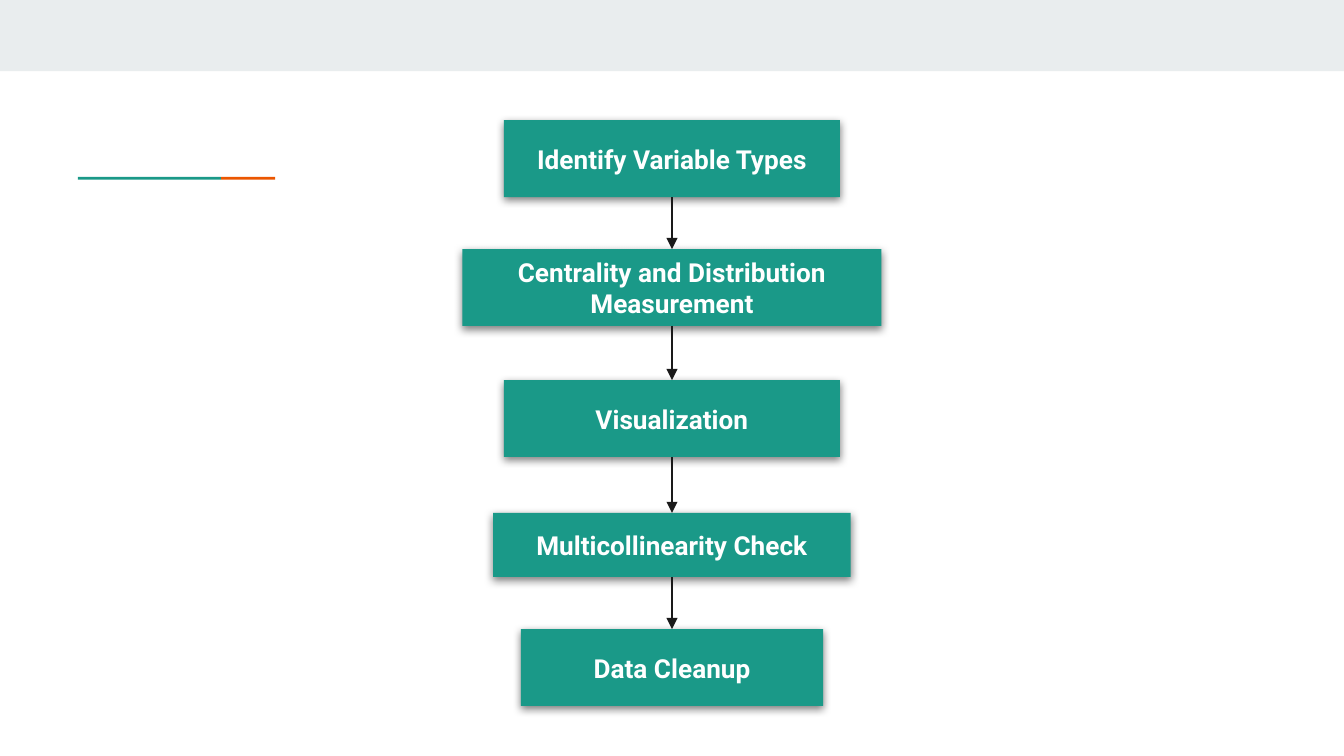
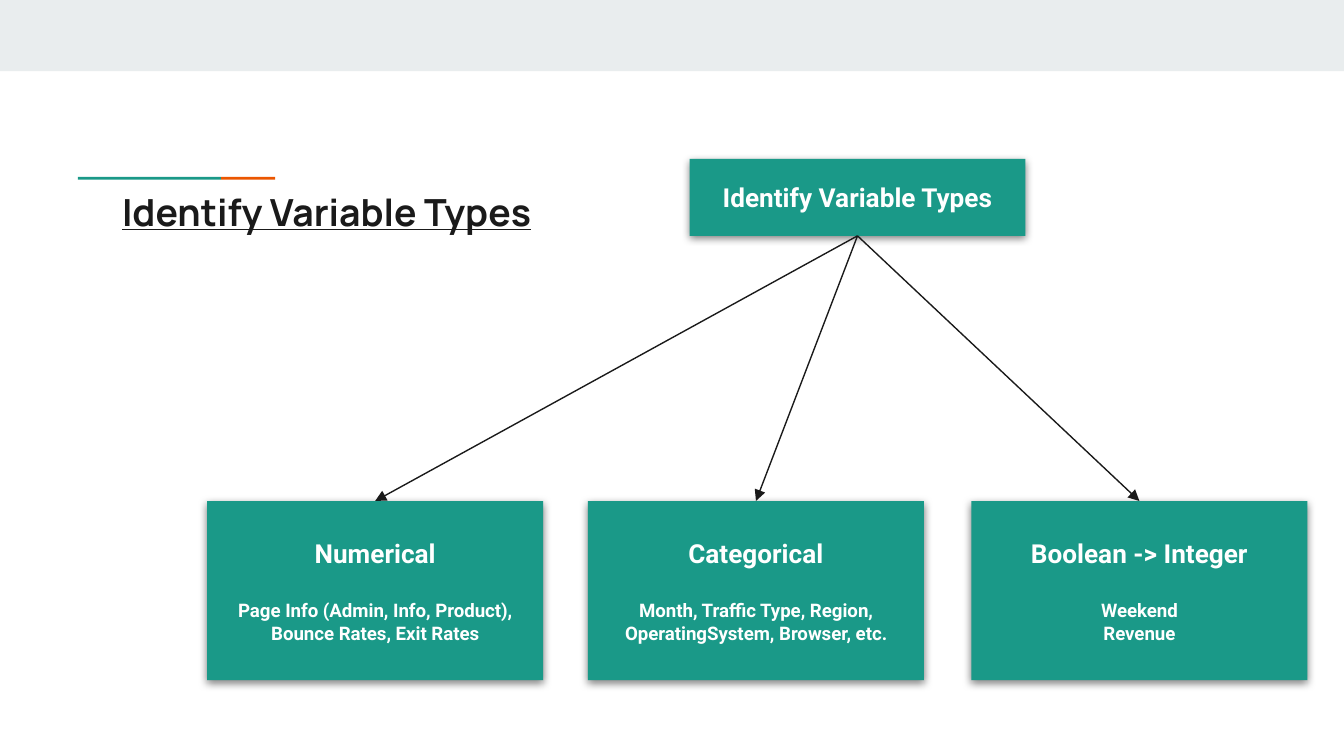
from lxml.etree import SubElement
from pptx import Presentation
from pptx.dml.color import RGBColor
from pptx.enum.shapes import MSO_CONNECTOR, MSO_SHAPE
from pptx.enum.text import MSO_ANCHOR, PP_ALIGN
from pptx.oxml.ns import qn
from pptx.util import Pt

TEAL, ORANGE, GREY = "1A9988", "EB5600", "E9EDEE"
INK, WHITE = "1A1A1A", "FFFFFF"
WIDE, HIGH = 720, 405
PAD = 7.2
BOX_W, BOX_H = 180, 41.25


def color(code):
    return RGBColor.from_string(code)


def style(par, size, font, code, under=None):
    for run in par.runs:
        run.font.size = Pt(size)
        run.font.name = font
        run.font.bold = True
        run.font.underline = under
        run.font.color.rgb = color(code)


def inset(frame):
    frame.word_wrap = True
    frame.margin_left = frame.margin_right = Pt(PAD)
    frame.margin_top = frame.margin_bottom = Pt(PAD)


def block(slide, left, top, width, height, fill):
    shape = slide.shapes.add_shape(
        MSO_SHAPE.RECTANGLE, Pt(left), Pt(top), Pt(width), Pt(height))
    shape.shadow.inherit = False
    shape.fill.solid()
    shape.fill.fore_color.rgb = color(fill)
    shape.line.fill.background()
    return shape


def shade(shape):
    """Soft shadow straight below the shape."""
    effects = shape._element.spPr.find(qn("a:effectLst"))
    outer = SubElement(effects, qn("a:outerShdw"), blurRad=str(Pt(4.5)),
                       dist=str(Pt(1.5)), dir="5400000", algn="bl",
                       rotWithShape="0")
    black = SubElement(outer, qn("a:srgbClr"), val="000000")
    SubElement(black, qn("a:alpha"), val="50000")


def card(slide, left, top, width, height, head, lines=()):
    """Teal box with a heading and optional smaller lines below it."""
    shape = block(slide, left, top, width, height, TEAL)
    shade(shape)
    frame = shape.text_frame
    inset(frame)
    frame.vertical_anchor = MSO_ANCHOR.MIDDLE
    frame.text = "\n".join([head, *lines])
    for i, par in enumerate(frame.paragraphs):
        par.alignment = PP_ALIGN.CENTER
        style(par, 10 if i else 14, "Roboto", WHITE)
        if i == 1:
            par.space_before = Pt(16.4)
    return shape


def arrow(slide, start, end):
    """Arrow from the bottom of one box to the top of another."""
    line = slide.shapes.add_connector(MSO_CONNECTOR.STRAIGHT, 0, 0, 0, 0)
    line.begin_connect(start, 2)
    line.end_connect(end, 0)
    line.line.color.rgb = color(INK)
    line.line.width = Pt(0.75)
    SubElement(line.line._get_or_add_ln(), qn("a:tailEnd"), type="triangle")
    SubElement(line._element.spPr, qn("a:effectLst"))


def base(deck):
    """Blank slide with the top band and the two-tone accent rule."""
    slide = deck.slides.add_slide(deck.slide_layouts[6])
    block(slide, 0, 0, WIDE, 38.2, GREY)
    block(slide, 41.8, 94.8, 76.6, 1.5, TEAL)
    block(slide, 118.4, 94.8, 29, 1.5, ORANGE)
    return slide


def title(slide, left, top, width, height, text):
    box = slide.shapes.add_textbox(Pt(left), Pt(top), Pt(width), Pt(height))
    inset(box.text_frame)
    box.text_frame.text = text
    style(box.text_frame.paragraphs[0], 20, "Manrope", INK, True)


def flow(slide, mid, steps):
    """Column of boxes centred on mid, each leading to the next."""
    cards = [card(slide, mid - width / 2, top, width, height, text)
             for text, top, width, height in steps]
    for start, end in zip(cards, cards[1:]):
        arrow(slide, start, end)


def tree(slide, left, top, text, row, leaves):
    """Root box with arrows to a row of leaf boxes."""
    root = card(slide, left, top, BOX_W, BOX_H, text)
    cards = [card(slide, x, row, BOX_W, 96, head, lines)
             for x, head, lines in leaves]
    for leaf in cards:
        arrow(slide, root, leaf)


def main():
    deck = Presentation()
    deck.slide_width, deck.slide_height = Pt(WIDE), Pt(HIGH)

    # Slide 1: the analysis steps
    flow(base(deck), WIDE / 2, [
        ("Identify Variable Types", 64.4, BOX_W, BOX_H),
        ("Centrality and Distribution Measurement", 133.4, 224.5, BOX_H),
        ("Visualization", 203.6, BOX_W, BOX_H),
        ("Multicollinearity Check", 274.8, 191.5, 34.3),
        ("Data Cleanup", 337, 162, BOX_H),
    ])

    # Slide 2: the variable types
    slide = base(deck)
    tree(slide, 369.4, 85.1, "Identify Variable Types", 268.4, [
        (111, "Numerical",
         ["Page Info (Admin, Info, Product), Bounce Rates, Exit Rates"]),
        (315, "Categorical",
         ["Month, Traffic Type, Region, OperatingSystem, Browser, etc."]),
        (520.4, "Boolean -> Integer", ["Weekend", "Revenue"]),
    ])
    title(slide, 58.3, 94.3, 328.3, 38.9, "Identify Variable Types")

    deck.save("out.pptx")


if __name__ == "__main__":
    main()
